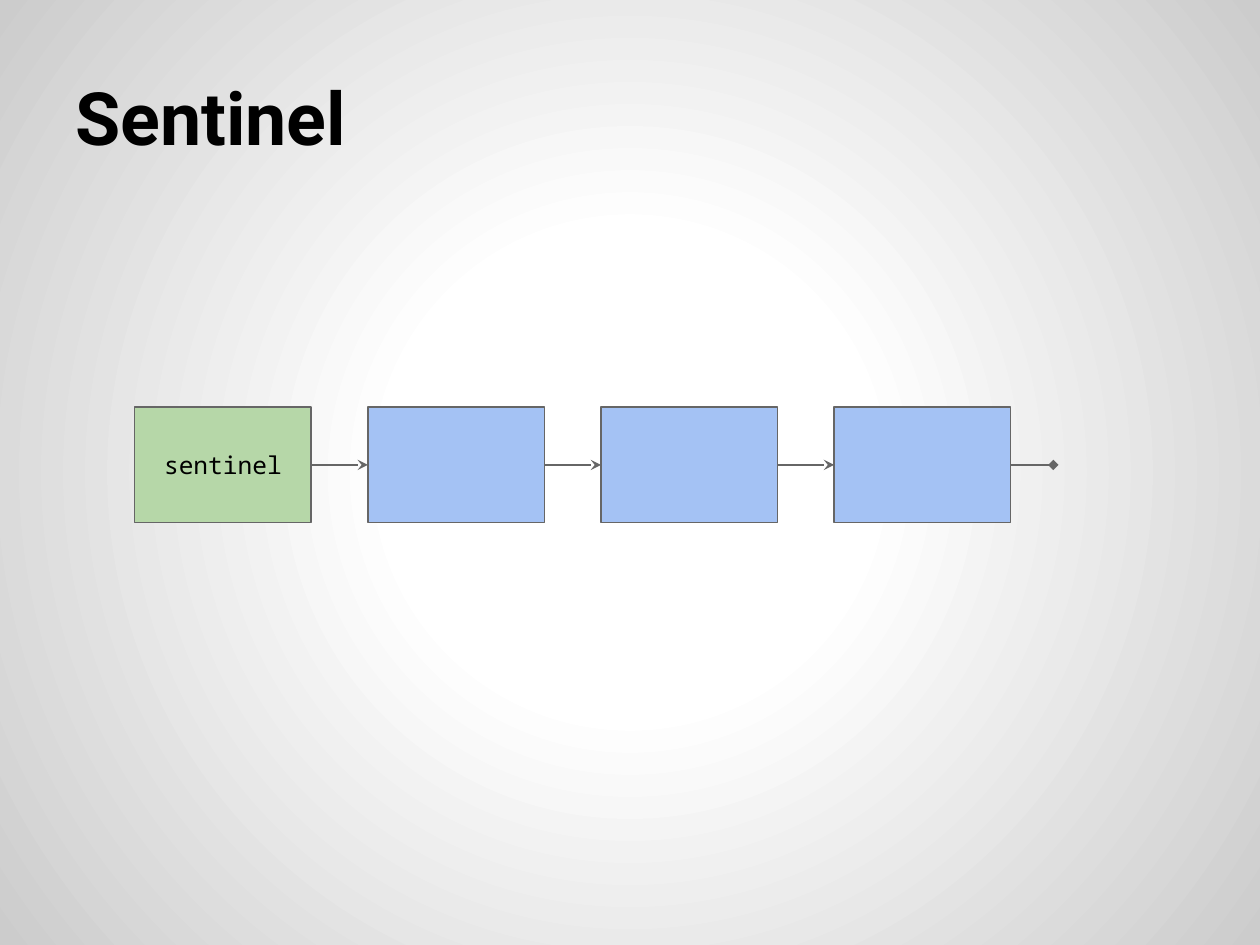
from pptx import Presentation
from pptx.dml.color import RGBColor
from pptx.enum.shapes import MSO_CONNECTOR, MSO_SHAPE
from pptx.enum.text import MSO_ANCHOR, PP_ALIGN
from pptx.oxml import parse_xml
from pptx.oxml.ns import nsdecls
from pptx.oxml.xmlchemy import OxmlElement
from pptx.util import Inches, Pt

# Content: the list's nodes from head to tail
TITLE = "Sentinel"
NODES = [("sentinel", "green"), ("", "blue"), ("", "blue"), ("", "blue")]
COLORS = {"text": "000000", "line": "666666", "green": "B6D7A8",
          "blue": "A4C2F4", "center": "FFFFFF", "edge": "CCCCCC"}

# Layout in inches
WIDTH, HEIGHT = 10, 7.5
LEFT, TOP = 1.07, 3.23
NODE_W, NODE_H = 1.4, 0.92
PITCH = 1.85
END_LENGTH = 0.34


def color(name):
    return RGBColor.from_string(COLORS[name])


def set_text(sp, text, font, size, bold=False, align=PP_ALIGN.LEFT):
    tf = sp.text_frame
    tf.word_wrap = True
    tf.vertical_anchor = MSO_ANCHOR.MIDDLE
    tf.margin_left = tf.margin_right = tf.margin_top = tf.margin_bottom = Inches(0.1)
    p = tf.paragraphs[0]
    p.text, p.alignment = text, align
    p.font.name, p.font.size, p.font.bold = font, Pt(size), bold
    p.font.color.rgb = color("text")


def set_line(line):
    line.color.rgb = color("line")
    line.width = Pt(0.75)


def add_node(shapes, x, text, fill):
    sp = shapes.add_shape(MSO_SHAPE.RECTANGLE, Inches(x), Inches(TOP),
                          Inches(NODE_W), Inches(NODE_H))
    sp.shadow.inherit = False
    sp.fill.solid()
    sp.fill.fore_color.rgb = color(fill)
    set_line(sp.line)
    if text:
        set_text(sp, text, "Noto Sans Mono", 14, align=PP_ALIGN.CENTER)


def add_link(shapes, x, length, head):
    y = Inches(TOP + NODE_H / 2)
    link = shapes.add_connector(MSO_CONNECTOR.STRAIGHT, Inches(x), y,
                                Inches(x + length), y)
    set_line(link.line)
    tail = OxmlElement("a:tailEnd")
    tail.set("type", head)
    link.line._get_or_add_ln().append(tail)
    link._element.spPr.append(OxmlElement("a:effectLst"))


prs = Presentation()
prs.slide_width, prs.slide_height = Inches(WIDTH), Inches(HEIGHT)
slide = prs.slides.add_slide(prs.slide_layouts[6])
shapes = slide.shapes

# Background: white centre fading to grey
stops = "".join(f'<a:gs pos="{pos * 1000}"><a:srgbClr val="{COLORS[name]}"/></a:gs>'
                for pos, name in [(0, "center"), (30, "center"), (100, "edge")])
slide.element.cSld.insert(0, parse_xml(
    f'<p:bg {nsdecls("p", "a")}><p:bgPr><a:gradFill><a:gsLst>{stops}</a:gsLst>'
    '<a:path path="circle"><a:fillToRect l="50000" t="50000" r="50000" b="50000"/>'
    '</a:path></a:gradFill><a:effectLst/></p:bgPr></p:bg>'))

# Title
box = shapes.add_textbox(Inches(0.5), Inches(0.3), Inches(9), Inches(1.25))
set_text(box, TITLE, "Roboto", 42, bold=True)

# Nodes
for i, (text, fill) in enumerate(NODES):
    add_node(shapes, LEFT + i * PITCH, text, fill)

# Links: an arrow to each next node, a diamond after the last
for i in range(len(NODES)):
    last = i == len(NODES) - 1
    add_link(shapes, LEFT + i * PITCH + NODE_W,
             END_LENGTH if last else PITCH - NODE_W,
             "diamond" if last else "stealth")

prs.save("out.pptx")
